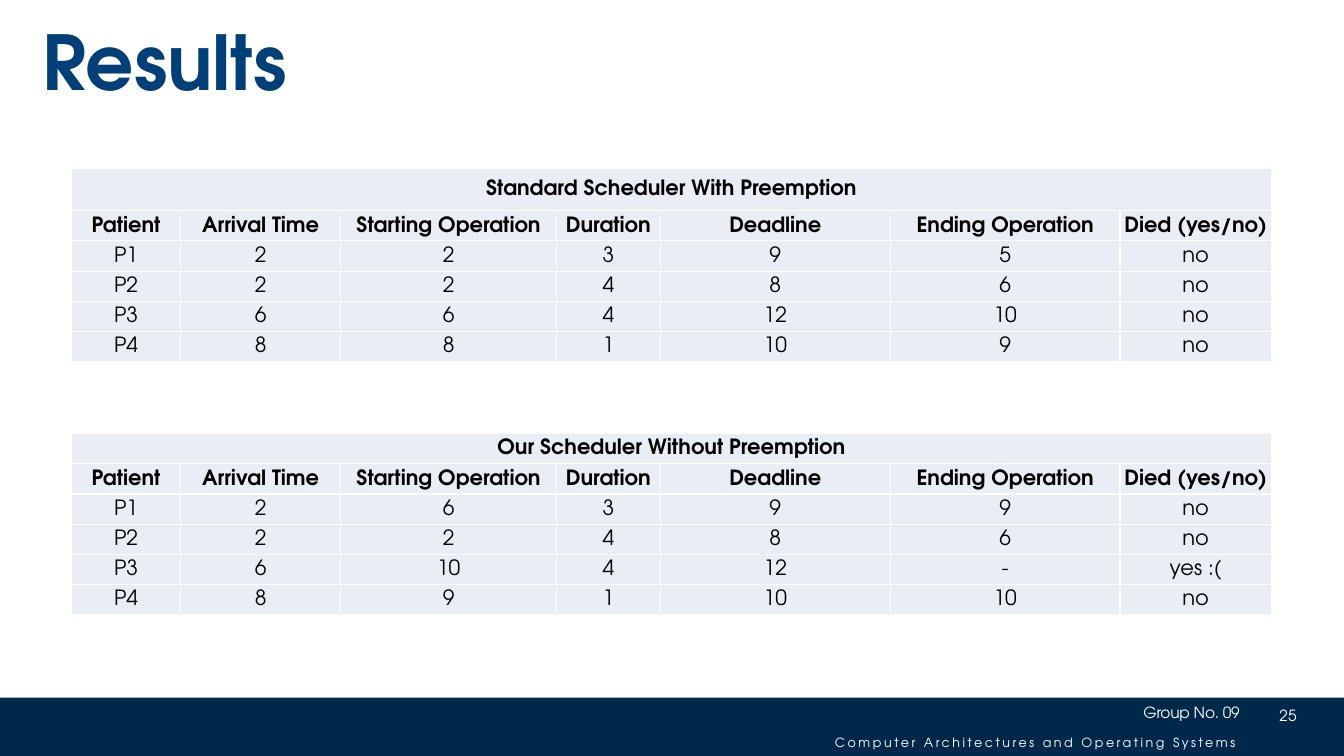
"""Build the results slide with two scheduler tables."""
from dataclasses import dataclass
from typing import Optional

from lxml import etree
from pptx import Presentation
from pptx.dml.color import RGBColor
from pptx.enum.shapes import MSO_SHAPE
from pptx.enum.text import MSO_ANCHOR, MSO_AUTO_SIZE, PP_ALIGN
from pptx.oxml.ns import qn
from pptx.util import Inches, Pt

RECT = MSO_SHAPE.RECTANGLE
MIDDLE = MSO_ANCHOR.MIDDLE
GROW = MSO_AUTO_SIZE.SHAPE_TO_FIT_TEXT
CENTER = PP_ALIGN.CENTER

FONT = "TeX Gyre Adventor"
WHITE, BLACK, NAVY, BLUE, PALE = "FFFFFF", "000000", "00284B", "003F77", "E9EDF4"
WIDTHS = (1.08, 1.59, 2.14, 1.03, 2.28, 2.28, 1.5)
HEADS = ("Patient", "Arrival Time", "Starting Operation", "Duration",
         "Deadline", "Ending Operation", "Died (yes/no)")
TIGHT = (0.01, 0.01, 0.01, 0)
LOOSE = (0.12, 0.06, 0.12, 0.06)


@dataclass
class Line:
    text: str
    size: float
    color: str = WHITE
    bold: bool = False
    indent: float = 0.01
    before: float = 1.1
    space: float = 0
    height: Optional[float] = None


@dataclass
class Box:
    left: float
    top: float
    width: float
    height: float
    inset: float
    lines: tuple


@dataclass
class Plan:
    title: str
    top: float
    heights: tuple
    inset: tuple
    rows: tuple


BOXES = (
    Box(8.27, 6.97, 4.12, 0.48, 0.01, (
        Line("Group No. 09", 11, indent=3.07, space=-0.2),
        Line("Computer Architectures and Operating Systems", 9,
             before=8.9, space=1.8))),
    Box(12.65, 7, 0.35, 0.2, 0.01, (Line("25", 11, indent=0.04),)),
    Box(0.41, 0.43, 5.51, 0.66, 0.07, (
        Line("Results", 54, BLUE, True, before=5.2, space=-0.1, height=39.8),)),
)
PLANS = (
    Plan("Standard Scheduler With Preemption", 1.67,
         (0.42, 0.3) + (0.3,) * 4, LOOSE, (
             ("P1", "2", "2", "3", "9", "5", "no"),
             ("P2", "2", "2", "4", "8", "6", "no"),
             ("P3", "6", "6", "4", "12", "10", "no"),
             ("P4", "8", "8", "1", "10", "9", "no"))),
    Plan("Our Scheduler Without Preemption", 4.3,
         (0.3, 0.3) + (0.3,) * 4, TIGHT, (
             ("P1", "2", "6", "3", "9", "9", "no"),
             ("P2", "2", "2", "4", "8", "6", "no"),
             ("P3", "6", "10", "4", "12", "-", "yes :("),
             ("P4", "8", "9", "1", "10", "10", "no"))),
)


def paint(fill, color: str) -> None:
    fill.solid()
    fill.fore_color.rgb = RGBColor.from_string(color)


def write(para, text: str, size: float, color: str, bold: bool):
    run = para.add_run()
    run.text = text
    font = run.font
    font.name, font.size, font.bold = FONT, Pt(size), bold
    paint(font.fill, color)
    return run


def draw_band(slide) -> None:
    band = slide.shapes.add_shape(
        RECT, 0, Inches(6.92), Inches(13.33), Inches(0.58))
    band.shadow.inherit = False
    paint(band.fill, NAVY)
    band.line.fill.background()


def draw_box(slide, box: Box) -> None:
    frame = slide.shapes.add_textbox(
        Inches(box.left), Inches(box.top),
        Inches(box.width), Inches(box.height)).text_frame
    frame.word_wrap = True
    frame.auto_size = GROW
    frame.margin_left = frame.margin_right = frame.margin_bottom = 0
    frame.margin_top = Inches(box.inset)
    for i, line in enumerate(box.lines):
        para = frame.add_paragraph() if i else frame.paragraphs[0]
        para.space_before = Pt(line.before)
        if line.height:
            para.line_spacing = Pt(line.height)
        para._p.get_or_add_pPr().set("marL", str(Inches(line.indent)))
        run = write(para, line.text, line.size, line.color, line.bold)
        run._r.get_or_add_rPr().set("spc", str(round(line.space * 100)))


def edge(cell) -> None:
    props = cell._tc.get_or_add_tcPr()
    for side in ("a:lnL", "a:lnR", "a:lnT", "a:lnB"):
        line = etree.SubElement(props, qn(side), w=str(Pt(1)))
        fill = etree.SubElement(line, qn("a:solidFill"))
        etree.SubElement(fill, qn("a:srgbClr"), val=WHITE)


def draw_cell(cell, text: str, bold: bool, inset: tuple) -> None:
    edge(cell)
    paint(cell.fill, PALE)
    cell.vertical_anchor = MIDDLE
    (cell.margin_left, cell.margin_top,
     cell.margin_right, cell.margin_bottom) = map(Inches, inset)
    para = cell.text_frame.paragraphs[0]
    para.alignment = CENTER
    if text:
        write(para, text, 15, BLACK, bold)


def draw_table(slide, plan: Plan) -> None:
    title = (plan.title,) + ("",) * (len(HEADS) - 1)
    rows = (title, HEADS) + plan.rows
    table = slide.shapes.add_table(
        len(rows), len(HEADS), Inches(0.71), Inches(plan.top),
        Inches(sum(WIDTHS)), Inches(sum(plan.heights))).table
    table.first_row = table.horz_banding = False
    for col, width in zip(table.columns, WIDTHS):
        col.width = Inches(width)
    for r, (row, height) in enumerate(zip(rows, plan.heights)):
        table.rows[r].height = Inches(height)
        for c, text in enumerate(row):
            draw_cell(table.cell(r, c), text, r < 2, TIGHT if r else plan.inset)
    table.cell(0, 0).merge(table.cell(0, len(HEADS) - 1))


def main() -> None:
    deck = Presentation()
    deck.slide_width, deck.slide_height = Inches(13.33), Inches(7.5)
    slide = deck.slides.add_slide(deck.slide_layouts[6])
    draw_band(slide)
    for box in BOXES:
        draw_box(slide, box)
    for plan in PLANS:
        draw_table(slide, plan)
    deck.save("out.pptx")


if __name__ == "__main__":
    main()
